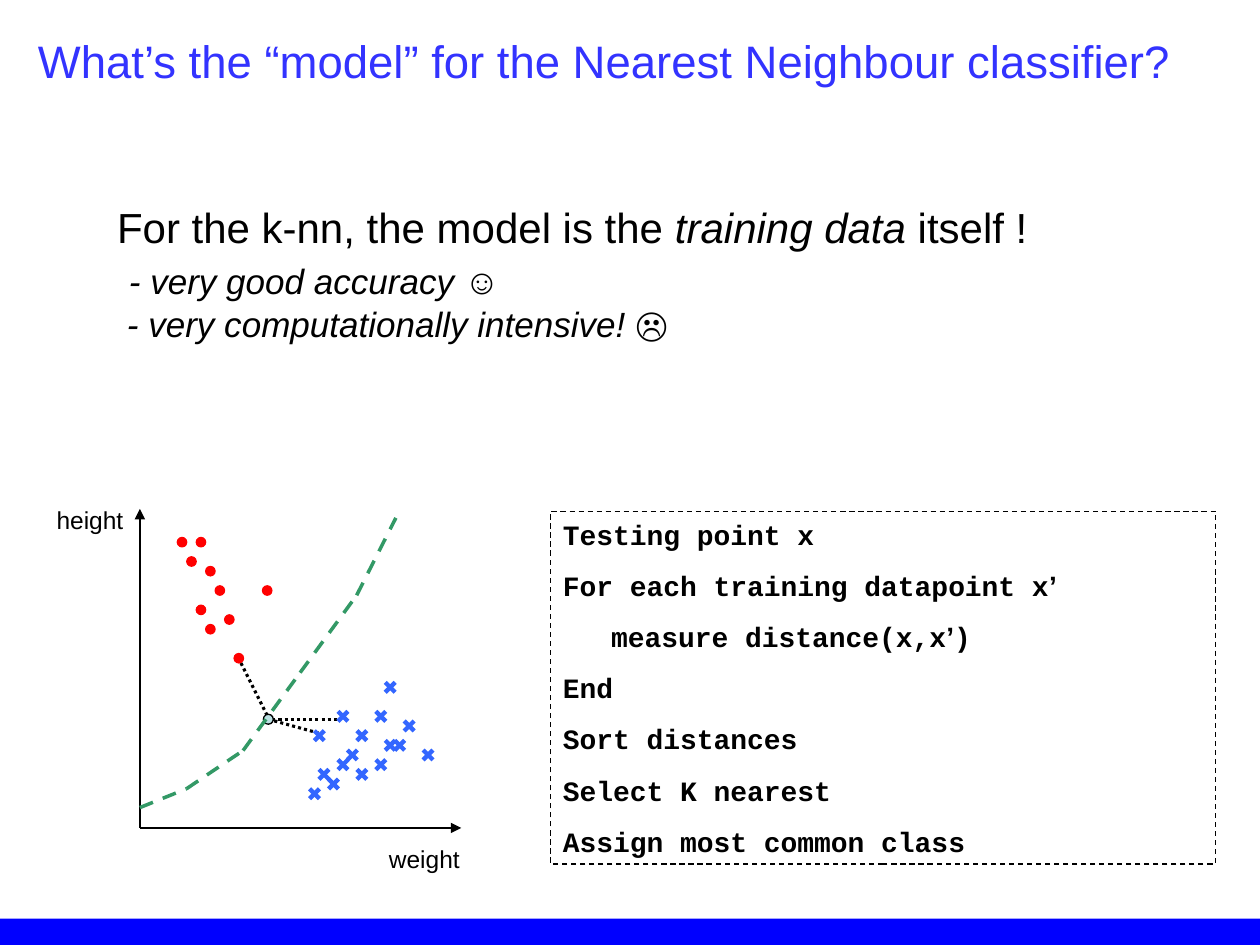
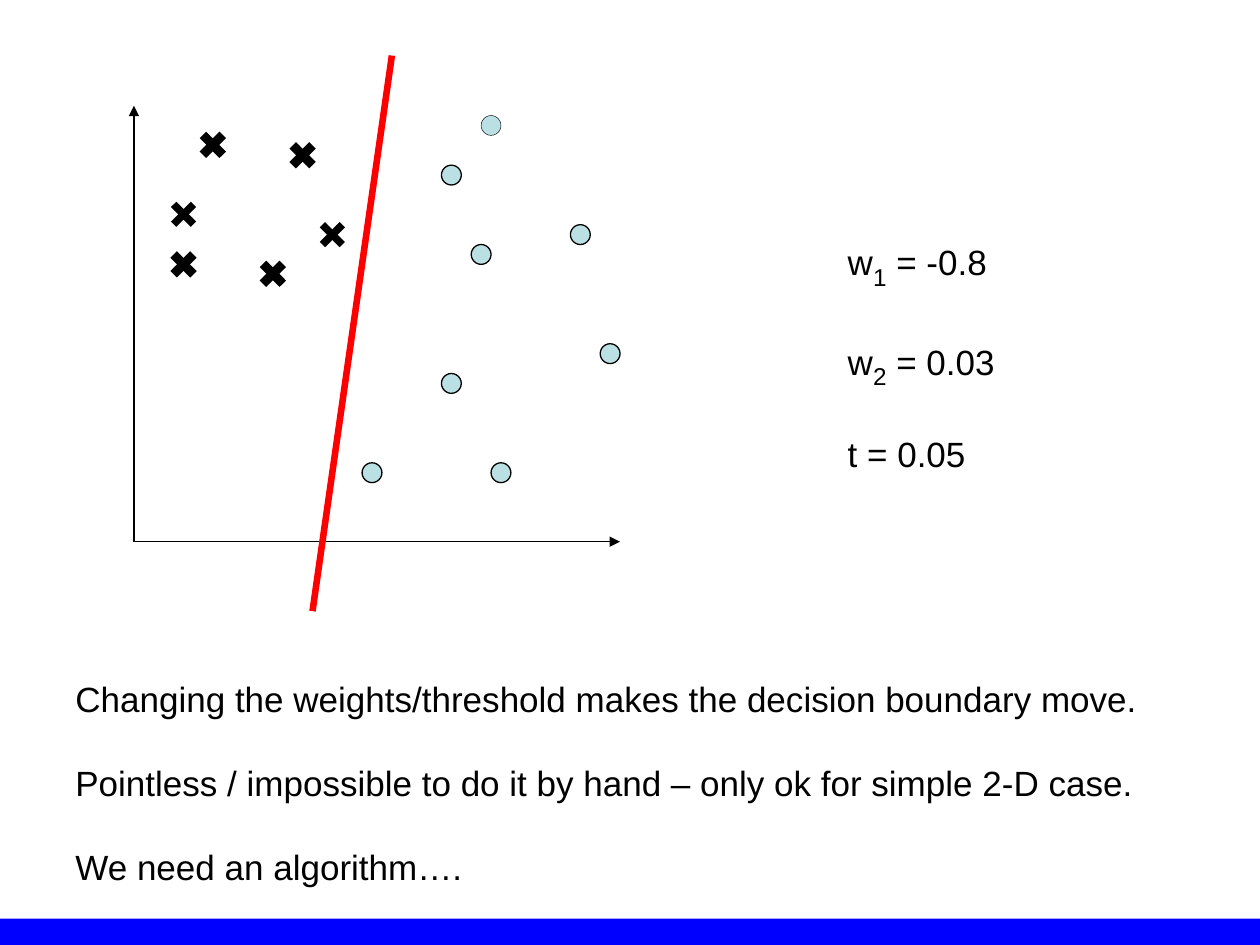
"""Build two slides on nearest neighbours and a linear decision boundary."""
from pptx import Presentation
from pptx.dml.color import RGBColor
from pptx.enum.dml import MSO_LINE as Dash
from pptx.enum.shapes import MSO_CONNECTOR as Link, MSO_SHAPE as Kind
from pptx.enum.text import MSO_ANCHOR as Anchor, MSO_AUTO_SIZE as Fit, PP_ALIGN as Align
from pptx.oxml.ns import qn
from pptx.util import Cm, Pt

BLACK, BLUE, RED = "000000", "0000FF", "FF0000"
TITLE, CROSS, CURVE, PALE = "3333FF", "3366FF", "339966", "BBE0E3"
SANS, MONO = "Arial", "Courier New"

# Each paragraph: (space before in pt, indent in cm, [(text, size, style), ...])
HEAD = [(0, 0, [("What’s the “model” for the Nearest Neighbour classifier?", 26, "")])]
MODEL = [
    (0, 0, [("For the k-nn, the model is the ", 24, ""), ("training data", 24, "i"),
            (" itself !", 24, "")]),
    (4, 0.24, [("- very good accuracy ", 20, "i"), ("☺", 20, "")]),
    (1, 0.2, [("- very computationally intensive! ", 20, "i"), ("☹", 20, "")]),
]
STEPS = [
    (0, ["Testing point x"]),
    (0, ["For each training datapoint x", "’"]),
    (0.97, ["measure distance(x,x", "’", ")"]),
    (0, ["End"]),
    (0, ["Sort distances"]),
    (0, ["Select K nearest"]),
    (0, ["Assign most common class"]),
]
WEIGHTS = [
    (0, 0, [("w", 20, ""), ("1", 24, "s"), (" = -0.8", 20, "")]),
    (24, 0, [("w", 20, ""), ("2", 24, "s"), (" = 0.03", 20, "")]),
    (24, 0, [("t = 0.05", 20, "")]),
]
NOTES = [
    "Changing the weights/threshold makes the decision boundary move.",
    "Pointless / impossible to do it by hand – only ok for simple 2-D case.",
    "We need an algorithm….",
]
LABELS = [("height", (0.89, 10.06, 2.1, 0.86)), ("weight", (7.59, 16.89, 2.2, 0.86))]

# Column and row of each point on a square of 26 steps
GRID, SPAN = (3.67, 10.93, 4.96, 5.07), 26
REDS = [(0, 0), (3, 3), (1, 2), (4, 5), (2, 0), (2, 7), (3, 9), (5, 8), (9, 5), (6, 12)]
BLUES = [(14.5, 20), (18, 22), (19, 20), (21, 18), (16, 25), (23, 21), (15, 24), (17, 18),
         (17, 23), (21, 23), (22, 21), (24, 19), (19, 24), (14, 26), (22, 15), (26, 22)]
QUERY = (5.41, 14.5)
NEAR = [((5.41, 14.5), (6.43, 14.78)), ((5.49, 14.5), (6.81, 14.5)),
        ((5.44, 14.53), (4.8, 13.25))]
BEND = [(2.82, 16.28), (3.76, 15.9), (4.9, 15.13), (6.05, 13.56), (7.19, 12), (7.98, 10.44)]

RINGS = [(9.7, 5.13, 0.75), (11.7, 4.73, 0.75), (9.1, 7.73, 0.75), (10.1, 9.53, 0.75),
         (12.3, 7.13, 0.75), (7.5, 9.53, 0.75), (9.1, 3.53, 0.75), (9.9, 2.53, 0.25)]
MARKS = [(4.29, 2.92, 5.25), (6.1, 3.13, 5.25), (3.7, 4.32, 4.25),
         (3.7, 5.33, 5.25), (5.5, 5.52, 5.25), (6.7, 4.73, 4.25)]


def paint(code):
    """Turn a hex string into a colour."""
    return RGBColor.from_string(code)


def box(area):
    """Turn a tuple of centimetres into lengths."""
    return [Cm(n) for n in area]


def write(frame, paras, tint=BLACK, font=SANS):
    """Fill a text frame run by run."""
    for i, (gap, dent, runs) in enumerate(paras):
        para = frame.paragraphs[0] if i == 0 else frame.add_paragraph()
        para.alignment, para.space_before = Align.LEFT, Pt(gap)
        if dent:
            para._p.get_or_add_pPr().set("marL", str(Cm(dent)))
        for text, size, style in runs:
            run = para.add_run()
            run.text = text
            face = run.font
            face.name = SANS if text == "’" else font
            face.size, face.color.rgb = Pt(size), paint(tint)
            face.bold, face.italic = "b" in style, "i" in style
            if "s" in style:
                run._r.get_or_add_rPr().set("baseline", "-25000")


def note(shapes, area, paras):
    """Add a text box."""
    frame = shapes.add_textbox(*box(area)).text_frame
    frame.word_wrap, frame.auto_size = True, Fit.SHAPE_TO_FIT_TEXT
    write(frame, paras)


def form(shapes, kind, area, fill=None, edge=None, width=0.75):
    """Add a preset shape with its fill and outline."""
    shape = shapes.add_shape(kind, *box(area))
    shape.shadow.inherit = False
    if fill:
        shape.fill.solid()
        shape.fill.fore_color.rgb = paint(fill)
    else:
        shape.fill.background()
    if edge:
        shape.line.color.rgb, shape.line.width = paint(edge), Pt(width)
    else:
        shape.line.fill.background()
    return shape


def disc(shapes, x, y, size, fill, edge, width=0.75):
    """Add a circle around a centre."""
    form(shapes, Kind.OVAL, (x - size / 2, y - size / 2, size, size), fill, edge, width)


def rule(shapes, start, end, tint=BLACK, width=0.75, dash=None, arrow=False):
    """Add a straight line."""
    link = shapes.add_connector(Link.STRAIGHT, *box(start + end))
    link.line.color.rgb, link.line.width = paint(tint), Pt(width)
    if dash:
        link.line.dash_style = dash
    props = link.element.spPr
    if arrow:
        tail = props.find(qn("a:ln"))
        tail.append(tail.makeelement(qn("a:tailEnd"), {"type": "triangle"}))
    props.append(props.makeelement(qn("a:effectLst"), {}))


def cross(shapes, x, y, half, tint, width):
    """Add two crossing strokes around a centre."""
    for side in (half, -half):
        rule(shapes, (x + side, y - half), (x - side, y + half), tint, width)


def axes(shapes, zero, top, right):
    """Add an upright and a level arrow from one corner."""
    rule(shapes, zero, (zero[0], top), arrow=True)
    rule(shapes, zero, (right, zero[1]), arrow=True)


def cell(col, row):
    """Find the centre of a grid point."""
    x, y, wide, high = GRID
    return x + col * wide / SPAN, y + row * high / SPAN


def share(deck, slide):
    """Put the bottom band on the slide master."""
    band = form(slide.shapes, Kind.RECTANGLE, (0, 18.52, 25.4, 0.53), BLUE)
    band.element.nvSpPr.cNvPr.set("id", "99")
    deck.slide_master.element.cSld.spTree.append(band.element)


def nearest(slide):
    """Fill the nearest neighbour slide."""
    title = slide.shapes.title
    title.left, title.top, title.width, title.height = box((0.51, 0.53, 23.5, 1.37))
    frame = title.text_frame
    frame.word_wrap, frame.auto_size = True, Fit.NONE
    frame.vertical_anchor = Anchor.TOP
    write(frame, HEAD, TITLE)

    plot = slide.shapes.add_group_shape().shapes
    for start, end in NEAR:
        rule(plot, start, end, width=1.75, dash=Dash.ROUND_DOT)
    disc(plot, *QUERY, 0.2, PALE, BLACK)
    axes(plot, (2.82, 16.69), 10.26, 9.3)
    for text, area in LABELS:
        note(plot, area, [(0, 0, [(text, 14, "")])])
    for spot in REDS:
        disc(plot, *cell(*spot), 0.19, RED, RED)
    for spot in BLUES:
        cross(plot, *cell(*spot), 0.1, CROSS, 2.5)
    for start, end in zip(BEND, BEND[1:]):
        rule(plot, start, end, CURVE, 2, Dash.DASH)

    note(slide.shapes, (2.11, 3.94, 19.5, 3.99), MODEL)
    code = form(slide.shapes, Kind.RECTANGLE, (11.1, 10.31, 13.41, 7.11), edge=BLACK)
    code.line.dash_style = Dash.DASH
    code.text_frame.word_wrap = True
    code.text_frame.vertical_anchor = Anchor.TOP
    write(code.text_frame, [(10 if i else 0, dent, [(part, 16, "b") for part in parts])
                            for i, (dent, parts) in enumerate(STEPS)], font=MONO)


def linear(slide):
    """Fill the decision boundary slide."""
    shapes = slide.shapes
    axes(shapes, (2.7, 10.92), 2.13, 12.5)
    for x, y, width in MARKS:
        cross(shapes.add_group_shape().shapes, x, y, 0.2, BLACK, width)
    for x, y, width in RINGS:
        disc(shapes, x, y, 0.4, PALE, BLACK, width)
    rule(shapes, (6.3, 12.32), (7.9, 1.12), RED, 3.75)
    note(shapes, (1.27, 13.53, 22.4, 4.5),
         [(24 if i else 0, 0, [(text, 20, "")]) for i, text in enumerate(NOTES)])
    note(shapes, (16.84, 4.59, 4.45, 5.1), WEIGHTS)


def main():
    """Build and save the deck."""
    deck = Presentation()
    deck.slide_width, deck.slide_height = Cm(25.4), Cm(19.05)
    first = deck.slides.add_slide(deck.slide_layouts[5])
    share(deck, first)
    nearest(first)
    linear(deck.slides.add_slide(deck.slide_layouts[6]))
    deck.save("out.pptx")


if __name__ == "__main__":
    main()
